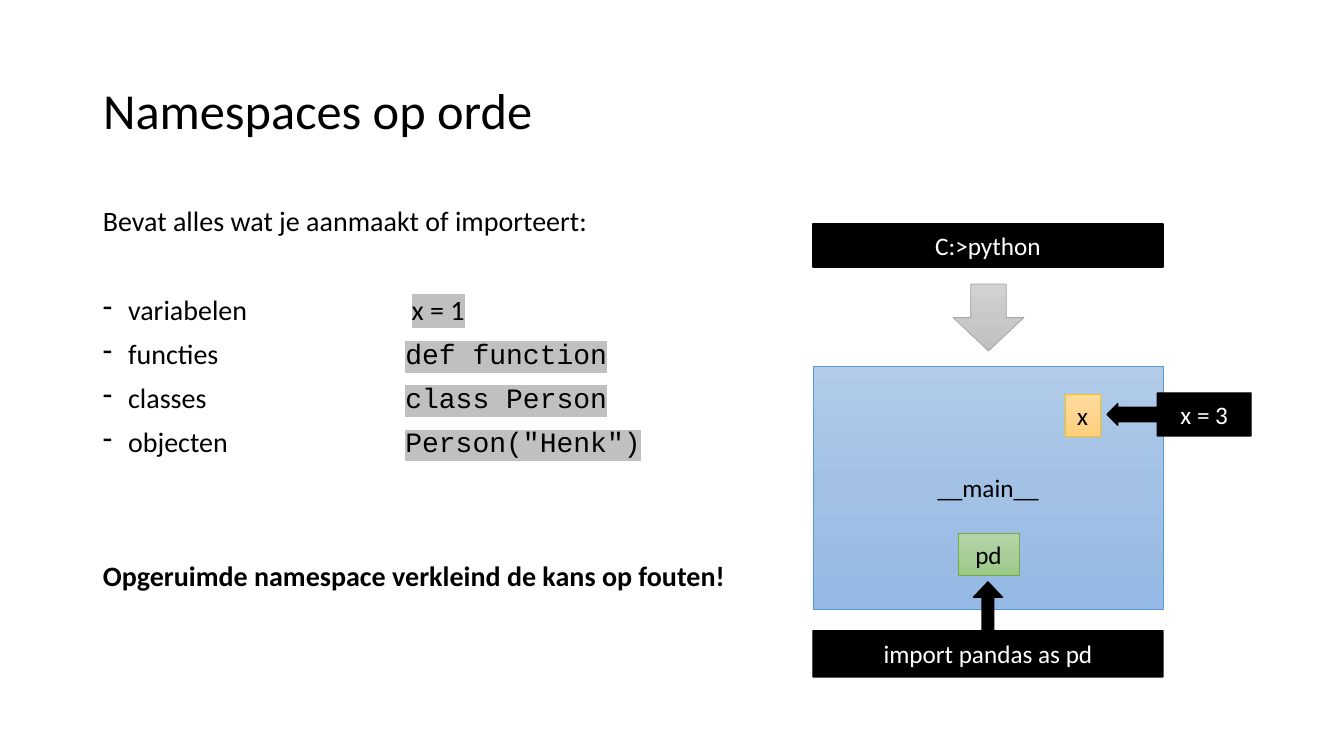
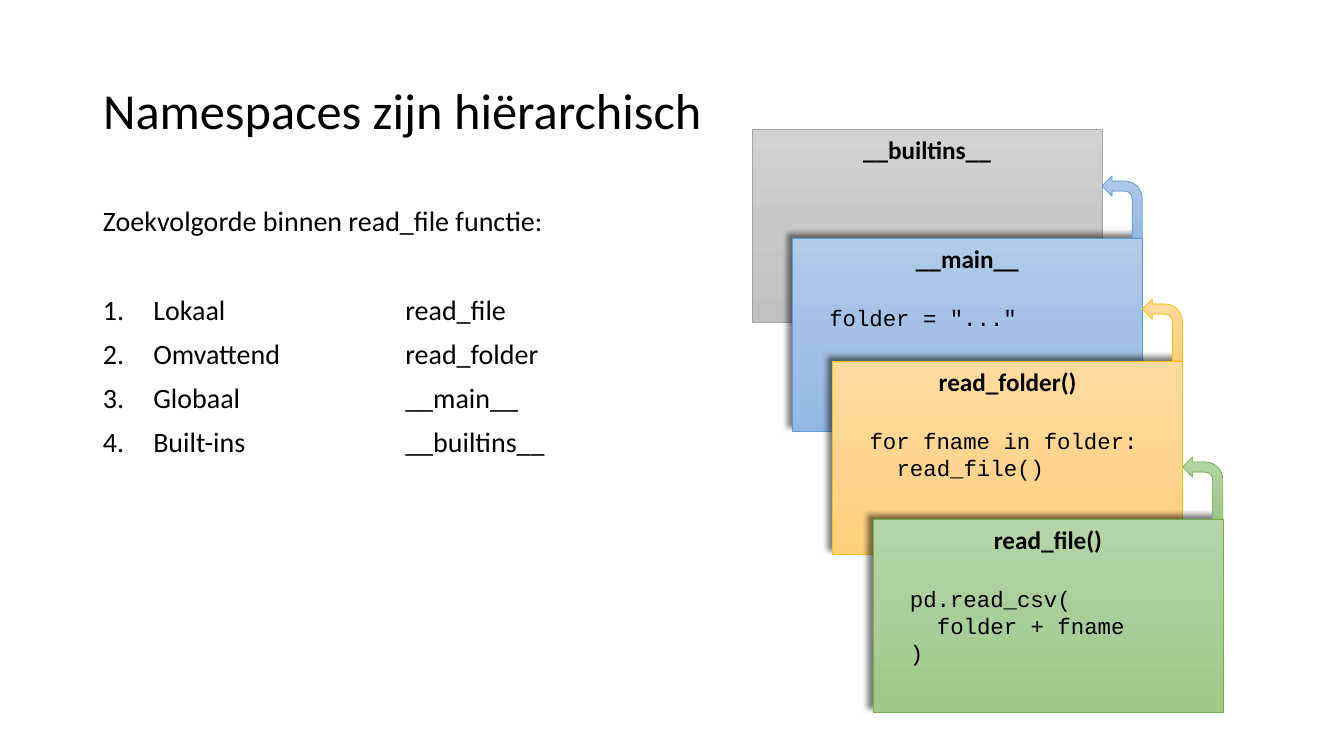
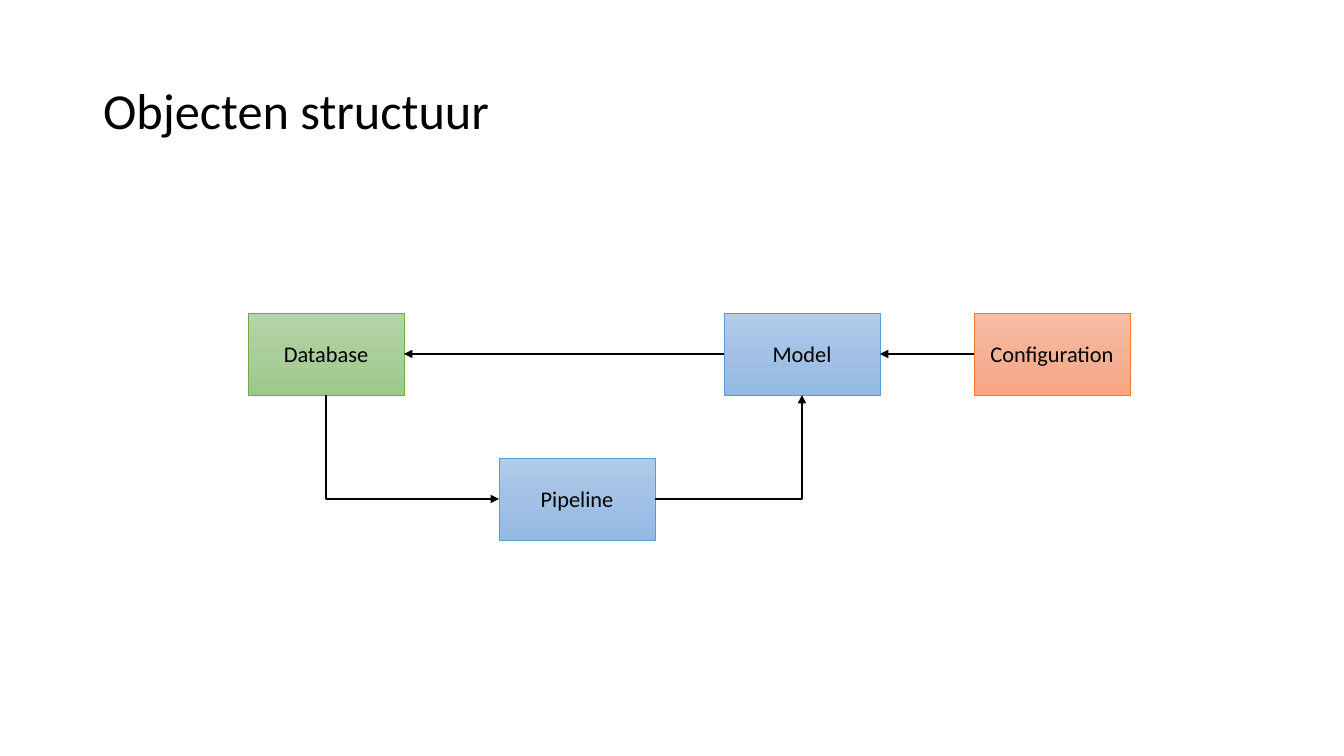
from copy import deepcopy
from dataclasses import dataclass
from typing import NamedTuple

from lxml import etree
from pptx import Presentation
from pptx.dml.color import RGBColor
from pptx.enum.shapes import MSO_CONNECTOR, MSO_SHAPE
from pptx.enum.text import MSO_ANCHOR, PP_ALIGN
from pptx.oxml.ns import qn
from pptx.util import Emu, Pt

RECT, BENT_ARROW = MSO_SHAPE.RECTANGLE, MSO_SHAPE.BENT_ARROW
DOWN_ARROW = MSO_SHAPE.DOWN_ARROW
LEFT_CALLOUT = MSO_SHAPE.LEFT_ARROW_CALLOUT
UP_CALLOUT = MSO_SHAPE.UP_ARROW_CALLOUT
STRAIGHT, ELBOW = MSO_CONNECTOR.STRAIGHT, MSO_CONNECTOR.ELBOW
TOP, MIDDLE = MSO_ANCHOR.TOP, MSO_ANCHOR.MIDDLE
LEFT, CENTER = PP_ALIGN.LEFT, PP_ALIGN.CENTER
SITE_LEFT, SITE_BOTTOM, SITE_RIGHT = 1, 2, 3
TITLE_ONLY = 5
PX_PER_INCH = 100.8


class Box(NamedTuple):
    """Left, top, width and height in pixels."""
    left: int
    top: int
    width: int
    height: int

    def inner(self, dx, dy, width, height):
        """Return a box offset from this one's corner."""
        return Box(self.left + dx, self.top + dy, width, height)


class Paint(NamedTuple):
    """Fill colours from top to bottom, line colour and line width."""
    stops: tuple
    line: str
    weight: float = 0.5


@dataclass(frozen=True)
class Theme:
    """Colours, fonts and type sizes of the deck."""
    ink: str = "000000"
    paper: str = "FFFFFF"
    mark: str = "C0C0C0"
    sans: str = "Calibri"
    mono: str = "Courier New"
    title: int = 36
    body: int = 20
    label: int = 18
    small: int = 16
    leading: float = 0.9
    gap: int = 10
    blank_line: int = 32
    blue: Paint = Paint(("B1CBE9", "A3C1E5", "93B9E4"), "5B9BD5")
    gray: Paint = Paint(("D2D2D2", "C8C8C8", "C0C0C0"), "A5A5A5")
    amber: Paint = Paint(("FFDB9E", "FFD590", "FFD07C"), "FFC000")
    green: Paint = Paint(("B5D5A7", "AACE9A", "9CC987"), "70AD47")
    orange: Paint = Paint(("F7BDA5", "F5B196", "F8A582"), "ED7D31")
    black: Paint = Paint(("000000",), "000000", 1)


T = Theme()


def px(n):
    """Turn pixels into EMU."""
    return Emu(round(n * 914400 / PX_PER_INCH))


def rgb(value):
    """Turn a hex string into a colour."""
    return RGBColor.from_string(value)


def add(parent, tag, **attrs):
    """Append a DrawingML element."""
    return etree.SubElement(parent, qn(tag), {k: str(v) for k, v in attrs.items()})


def set_font(p, size, color=T.ink, name=T.sans, bold=False):
    """Set the font of a paragraph."""
    p.font.size, p.font.name, p.font.bold = Pt(size), name, bold
    p.font.color.rgb = rgb(color)


def next_paragraph(tf):
    """Return the empty first paragraph or a new one."""
    return tf.paragraphs[0] if not tf.text else tf.add_paragraph()


def paint_shape(sp, paint):
    """Apply fill and line to a shape without shadow."""
    sp.shadow.inherit = False
    sp.line.color.rgb = rgb(paint.line)
    sp.line.width = Pt(paint.weight)
    if len(paint.stops) == 1:
        sp.fill.solid()
        sp.fill.fore_color.rgb = rgb(paint.stops[0])
        return
    sp.fill.gradient()
    sp.fill.gradient_angle = 270
    stops = sp.element.spPr.find(".//" + qn("a:gsLst"))
    stops.insert(1, deepcopy(stops[0]))
    for i, (stop, color) in enumerate(zip(sp.fill.gradient_stops, paint.stops)):
        stop.color.rgb = rgb(color)
        stop.position = i / 2


def add_block(slide, kind, box, paint, text="", size=T.label, color=T.ink,
              bold=False, anchor=MIDDLE, adjustments=()):
    """Add a painted shape with a centred label."""
    sp = slide.shapes.add_shape(kind, *map(px, box))
    paint_shape(sp, paint)
    for i, value in enumerate(adjustments):
        sp.adjustments[i] = value
    if text:
        tf = sp.text_frame
        tf.vertical_anchor = anchor
        p = tf.paragraphs[0]
        p.text, p.alignment = text, CENTER
        set_font(p, size, color, bold=bold)
    return sp


def add_titled_slide(prs, title):
    """Add a slide with the shared title style."""
    slide = prs.slides.add_slide(prs.slide_layouts[TITLE_ONLY])
    sp = slide.shapes.title
    sp.left, sp.top, sp.width, sp.height = map(px, Box(93, 40, 1159, 146))
    tf = sp.text_frame
    tf.vertical_anchor = MIDDLE
    p = tf.paragraphs[0]
    p.text, p.alignment, p.line_spacing = title, LEFT, T.leading
    set_font(p, T.title)
    return slide


def add_body_line(tf, text, blanks=0, bold=False, bullet=None, indent=0):
    """Add a body paragraph, with a hanging bullet if one is given."""
    p = next_paragraph(tf)
    p.add_run().text = text
    if bullet:
        pPr = p._p.get_or_add_pPr()
        pPr.set("marL", str(px(indent)))
        pPr.set("indent", str(-px(indent)))
        tag, attrs = bullet
        add(pPr, tag, **attrs)
        add(add(pPr, "a:tabLst"), "a:tab", pos=px(302.4), algn="l")
    p.line_spacing = T.leading
    p.space_before = Pt(T.gap + blanks * T.blank_line)
    set_font(p, T.body, bold=bold)
    return p


def add_marked_run(p, text, font):
    """Add a run with a gray highlight."""
    r = p.add_run()
    r.text, r.font.name = text, font
    highlight = etree.Element(qn("a:highlight"))
    add(highlight, "a:srgbClr", val=T.mark)
    r._r.get_or_add_rPr().insert(0, highlight)


def add_body(slide, box, intro):
    """Add the body text box with its opening line."""
    tf = slide.shapes.add_textbox(*map(px, box)).text_frame
    tf.word_wrap = True
    add_body_line(tf, intro)
    return tf


def contents_text(slide, box):
    """List what a namespace holds, with code examples."""
    tf = add_body(slide, box, "Bevat alles wat je aanmaakt of importeert:")
    rows = (("variabelen\t ", "x = 1", T.sans),
            ("functies\t", "def function", T.mono),
            ("classes\t", "class Person", T.mono),
            ("objecten\t", 'Person("Henk")', T.mono))
    for i, (term, code, font) in enumerate(rows):
        p = add_body_line(tf, term, blanks=int(i == 0), indent=25.2,
                          bullet=("a:buChar", {"char": "-"}))
        add_marked_run(p, code, font)
    add_body_line(tf, "Opgeruimde namespace verkleind de kans op fouten!",
                  blanks=2, bold=True)


def search_order_text(slide, box):
    """List the scopes in search order."""
    tf = add_body(slide, box, "Zoekvolgorde binnen read_file functie:")
    rows = (("Lokaal", "read_file"), ("Omvattend", "read_folder"),
            ("Globaal", "__main__"), ("Built-ins", "__builtins__"))
    for i, row in enumerate(rows):
        add_body_line(tf, "\t".join(row), blanks=int(i == 0), indent=50.4,
                      bullet=("a:buAutoNum", {"type": "arabicPeriod"}))


def main_diagram(slide, box):
    """Draw the main namespace and what enters it."""
    w = box.width
    add_block(slide, RECT, box.inner(0, 142, w, 243), T.blue, "__main__")
    add_block(slide, DOWN_ARROW, box.inner(140, 60, 71, 67), T.gray)
    add_block(slide, RECT, box.inner(0, 0, w, 43), T.black, "C:>python",
              color=T.paper)
    add_block(slide, LEFT_CALLOUT, box.inner(294, 169, 144, 43), T.black,
              "x = 3", color=T.paper, adjustments=(0.336, 0.25, 0.25, 0.65))
    add_block(slide, RECT, box.inner(252, 170, 35, 42), T.amber, "x")
    add_block(slide, UP_CALLOUT, box.inner(0, 358, w, 95), T.black,
              "import pandas as pd", color=T.paper,
              adjustments=(0.122, 0.153, 0.162, 0.486))
    add_block(slide, RECT, box.inner(145, 309, 61, 42), T.green, "pd")


def add_card_shadow(sp):
    """Give a card a soft shadow towards the upper left."""
    effects = sp.element.spPr.find(qn("a:effectLst"))
    shadow = add(effects, "a:outerShdw", blurRad=Pt(4), dist=Pt(5),
                 dir=220 * 60000, algn="ctr", rotWithShape=0)
    add(add(shadow, "a:srgbClr", val=T.ink), "a:alpha", val=50000)


def scope_card(slide, box, paint, name, code):
    """Draw one scope with its lines of code."""
    sp = add_block(slide, RECT, box, paint, name, bold=True, anchor=TOP)
    for i, (depth, line) in enumerate(code):
        p = sp.text_frame.add_paragraph()
        p.text, p.alignment = line, LEFT
        p._p.get_or_add_pPr().set("marL", str(px(27 * depth)))
        p.space_before = Pt(0 if i else 22)
        set_font(p, T.small, name=T.mono)
    return sp


def scope_stack(slide, box):
    """Draw overlapping scopes, each with an arrow to its parent."""
    cards = (
        (0, T.gray, "__builtins__", ()),
        (109, T.blue, "__main__", ((1, 'folder = "..."'),)),
        (232, T.amber, "read_folder()",
         ((1, "for fname in folder:"), (2, "read_file()"))),
        (390, T.green, "read_file()",
         ((1, "pd.read_csv("), (2, "folder + fname"), (1, ")"))),
    )
    width, height, arrow_height = 350, 193, 62
    step = (box.width - width) / (len(cards) - 1)
    for i, (dy, paint, name, code) in enumerate(cards):
        card = box.inner(i * step, dy, width, height)
        sp = scope_card(slide, card, paint, name, code)
        if i:
            add_card_shadow(sp)
            arrow = add_block(slide, BENT_ARROW, card.inner(
                width - step, -arrow_height, step, arrow_height), paint)
            arrow.element.spPr.find(qn("a:xfrm")).set("flipH", "1")


def link(slide, start, end, kind=STRAIGHT, arrow="a:tailEnd"):
    """Connect two shape sites with an arrow."""
    cx = slide.shapes.add_connector(kind, 0, 0, 0, 0)
    cx.begin_connect(*start)
    cx.end_connect(*end)
    cx.line.color.rgb = rgb(T.ink)
    cx.line.width = Pt(1.5)
    spPr = cx.element.spPr
    if kind == ELBOW:
        spPr.find(qn("a:prstGeom")).set("prst", "bentConnector2")
    add(spPr.find(qn("a:ln")), arrow, type="triangle")
    add(spPr, "a:effectLst")


def object_diagram(slide, box):
    """Draw the objects and how they depend on each other."""
    def node(dx, dy, paint, name):
        """Draw one object."""
        return add_block(slide, RECT, box.inner(dx, dy, 156, 82), paint, name,
                         size=T.small)

    model = node(476, 0, T.blue, "Model")
    configuration = node(726, 0, T.orange, "Configuration")
    pipeline = node(251, 145, T.blue, "Pipeline")
    database = node(0, 0, T.green, "Database")
    link(slide, (model, SITE_LEFT), (database, SITE_RIGHT))
    link(slide, (pipeline, SITE_LEFT), (database, SITE_BOTTOM), ELBOW, "a:headEnd")
    link(slide, (pipeline, SITE_RIGHT), (model, SITE_BOTTOM), ELBOW)
    link(slide, (configuration, SITE_LEFT), (model, SITE_RIGHT))


def main():
    """Build and save the deck."""
    prs = Presentation()
    prs.slide_width, prs.slide_height = px(1344), px(756)

    slide = add_titled_slide(prs, "Namespaces op orde")
    main_diagram(slide, Box(813, 224, 350, 453))
    contents_text(slide, Box(93, 202, 671, 480))

    slide = add_titled_slide(prs, "Namespaces zijn hiërarchisch")
    search_order_text(slide, Box(93, 202, 671, 350))
    scope_stack(slide, Box(752, 129, 471, 583))

    slide = add_titled_slide(prs, "Objecten structuur")
    object_diagram(slide, Box(248, 313, 882, 227))

    prs.save("out.pptx")


main()
